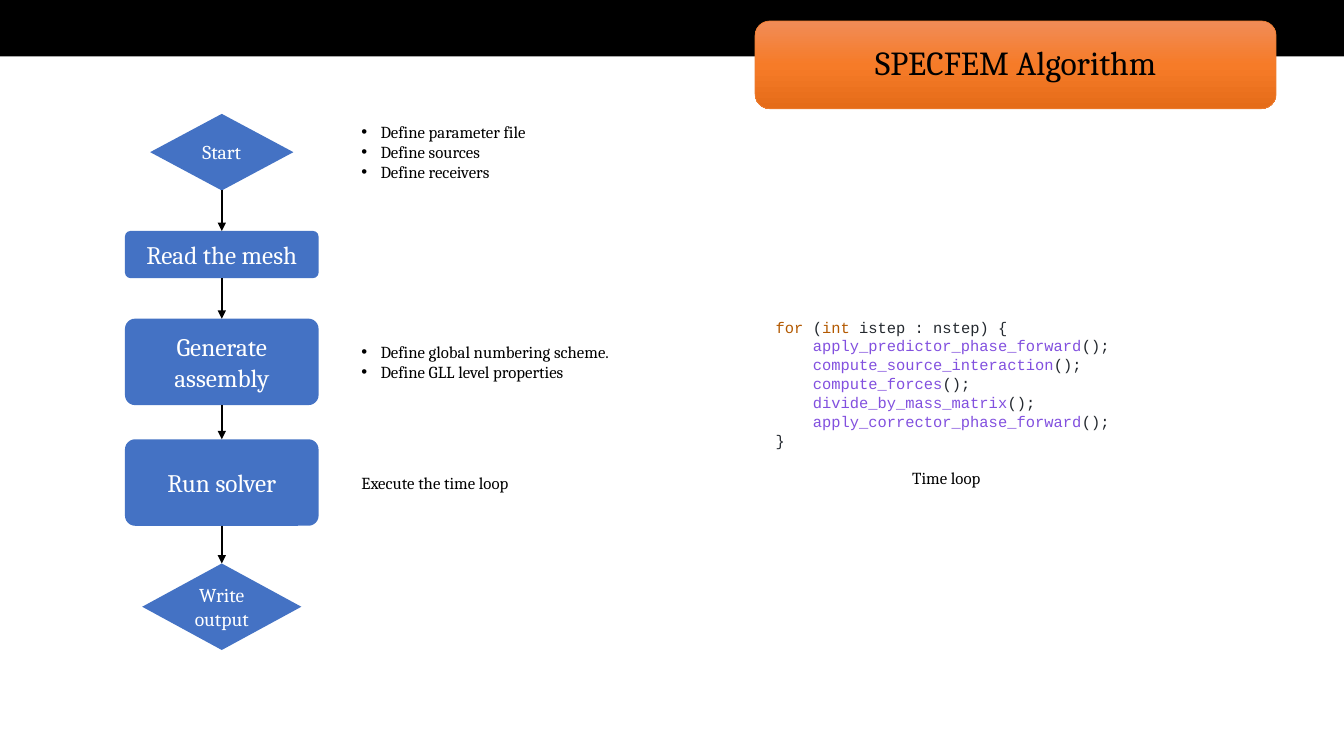
from collections import namedtuple
from copy import deepcopy

from lxml import etree
from pptx import Presentation
from pptx import util as u
from pptx.dml.color import RGBColor
from pptx.enum import shapes, text
from pptx.oxml import ns

BLACK = RGBColor(0x00, 0x00, 0x00)
WHITE = RGBColor(0xFF, 0xFF, 0xFF)
BLUE = RGBColor(0x44, 0x72, 0xC4)
ORANGE = RGBColor(0xED, 0x7D, 0x31)
BADGE_STOPS = [(0, RGBColor(0xF1, 0x8C, 0x57)), (0.5, RGBColor(0xF6, 0x7B, 0x28)),
               (1, RGBColor(0xE5, 0x6C, 0x19))]
KEYWORD = RGBColor(0xB3, 0x59, 0x00)
CALL = RGBColor(0x82, 0x50, 0xDF)
PLAIN = RGBColor(0x24, 0x29, 0x2F)

SERIF, MONO = "Cambria", "Courier New"
DIAMOND = shapes.MSO_SHAPE.DIAMOND
ROUNDED = shapes.MSO_SHAPE.ROUNDED_RECTANGLE

Box = namedtuple("Box", "left top width height")
Step = namedtuple("Step", "label outline top width height size notes note_width")

STEPS = [
    Step("Start", DIAMOND, 0, 3.61, 1.93, 14,
         ["Define parameter file", "Define sources", "Define receivers"], 5.87),
    Step("Read the mesh", ROUNDED, 2.95, 4.88, 1.19, 18, [], 0),
    Step("Generate assembly", ROUNDED, 5.16, 4.88, 2.18, 18,
         ["Define global numbering scheme.", "Define GLL level properties"], 7.39),
    Step("Run solver", ROUNDED, 8.2, 4.88, 2.18, 18, ["Execute the time loop"], 5.26),
    Step("Write output", DIAMOND, 11.33, 4.01, 2.18, 14, [], 0),
]

LOOP_CALLS = ["apply_predictor_phase_forward", "compute_source_interaction",
              "compute_forces", "divide_by_mass_matrix", "apply_corrector_phase_forward"]
LOOP_CODE = [
    [("for", KEYWORD), (" (", PLAIN), ("int ", KEYWORD), ("istep : nstep) {", PLAIN)],
    *[[("    ", PLAIN), (call, CALL), ("();", PLAIN)] for call in LOOP_CALLS],
    [("}", PLAIN)],
]


def set_font(paragraph, name, size, color=None):
    """Set the font shared by all runs of a paragraph."""
    paragraph.font.name = name
    paragraph.font.size = u.Pt(size)
    if color is not None:
        paragraph.font.color.rgb = color


def add_outline(slide, kind, box, label="", size=18, color=WHITE):
    """Add a preset shape without line or shadow, with a centred label."""
    outline = slide.shapes.add_shape(kind, *map(u.Cm, box))
    outline.shadow.inherit = False
    outline.line.fill.background()
    outline.text_frame.vertical_anchor = text.MSO_ANCHOR.MIDDLE
    caption = outline.text_frame.paragraphs[0]
    caption.text = label
    caption.alignment = text.PP_ALIGN.CENTER
    set_font(caption, SERIF, size, color)
    return outline


def add_lines(slide, box, lines, bulleted=False, wrap=True):
    """Add a text box with one small paragraph per line."""
    frame = slide.shapes.add_textbox(*map(u.Cm, box)).text_frame
    frame.word_wrap = wrap
    for index, line in enumerate(lines):
        entry = frame.add_paragraph() if index else frame.paragraphs[0]
        entry.text = line
        if bulleted:
            props = entry._p.get_or_add_pPr()
            props.set("marL", str(u.Cm(0.48)))
            props.set("indent", str(-u.Cm(0.48)))
            etree.SubElement(props, ns.qn("a:buFont")).set("typeface", "Arial")
            etree.SubElement(props, ns.qn("a:buChar")).set("char", "•")
        set_font(entry, SERIF, 12, BLACK)


def add_arrow(slide, source, target):
    """Join the bottom of one step to the top of the next."""
    arrow = slide.shapes.add_connector(shapes.MSO_CONNECTOR.STRAIGHT, 0, 0, 0, 0)
    arrow.begin_connect(source, 2)
    arrow.end_connect(target, 0)
    arrow.line.color.rgb = BLACK
    arrow.line.width = u.Pt(1)
    etree.SubElement(arrow.line._get_or_add_ln(), ns.qn("a:tailEnd")).set("type", "triangle")
    etree.SubElement(arrow._element.spPr, ns.qn("a:effectLst"))


def add_header(slide, box):
    """Draw the black band and the gradient title badge that hangs from it."""
    band = add_outline(slide, shapes.MSO_SHAPE.RECTANGLE, box)
    band.fill.solid()
    band.fill.fore_color.rgb = BLACK
    badge_box = Box(box.left + box.width - 14.84, box.top + 0.53, 13.13, 2.21)
    badge = add_outline(slide, ROUNDED, badge_box, "SPECFEM Algorithm", 24, BLACK)
    badge.text_frame.paragraphs[0].line_spacing = 0.9
    badge.fill.gradient()
    badge.fill.gradient_angle = 270
    stop_list = badge.fill._fill._gradFill.gsLst
    stop_list.insert(1, deepcopy(stop_list[0]))
    for stop, (position, color) in zip(badge.fill.gradient_stops, BADGE_STOPS):
        stop.position = position
        stop.color.rgb = color
    badge.line.color.rgb = ORANGE
    badge.line.width = u.Pt(0.5)


def add_flow(slide, box):
    """Draw the steps down the left of the box, each with its notes beside it."""
    widest = max(step.width for step in STEPS)
    nodes = []
    for step in STEPS:
        top = box.top + step.top
        left = box.left + (widest - step.width) / 2
        node = add_outline(slide, step.outline, Box(left, top, step.width, step.height),
                           step.label, step.size)
        node.fill.solid()
        node.fill.fore_color.rgb = BLUE
        if step.outline == ROUNDED:
            node.adjustments[0] = 0.118
        nodes.append(node)
        if step.notes:
            height = 0.25 + 0.51 * len(step.notes)
            note_box = Box(box.left + 5.71, top + (step.height - height) / 2,
                           step.note_width, height)
            add_lines(slide, note_box, step.notes, bulleted=len(step.notes) > 1)
    for source, target in zip(nodes, nodes[1:]):
        add_arrow(slide, source, target)


def add_time_loop(slide, box):
    """Write the loop code with its caption centred below."""
    frame = slide.shapes.add_textbox(*map(u.Cm, box)).text_frame
    frame.word_wrap = True
    for index, tokens in enumerate(LOOP_CODE):
        line = frame.add_paragraph() if index else frame.paragraphs[0]
        line.line_spacing = u.Pt(13.5)
        set_font(line, MONO, 11)
        for token, color in tokens:
            run = line.add_run()
            run.text = token
            run.font.color.rgb = color
    caption_width = 2.41
    caption_box = Box(box.left + (box.width - caption_width) / 2 - 0.13,
                      box.top + box.height, caption_width, 0.76)
    add_lines(slide, caption_box, ["Time loop"], wrap=False)


def main():
    """Build the slide and save it."""
    deck = Presentation()
    deck.slide_width, deck.slide_height = u.Cm(33.87), u.Cm(19.05)
    slide = deck.slides.add_slide(deck.slide_layouts[6])
    add_header(slide, Box(0, 0, 33.87, 1.42))
    add_flow(slide, Box(3.15, 2.87, 13.11, 13.51))
    add_time_loop(slide, Box(19.3, 7.87, 9.55, 3.78))
    deck.save("out.pptx")


if __name__ == "__main__":
    main()
